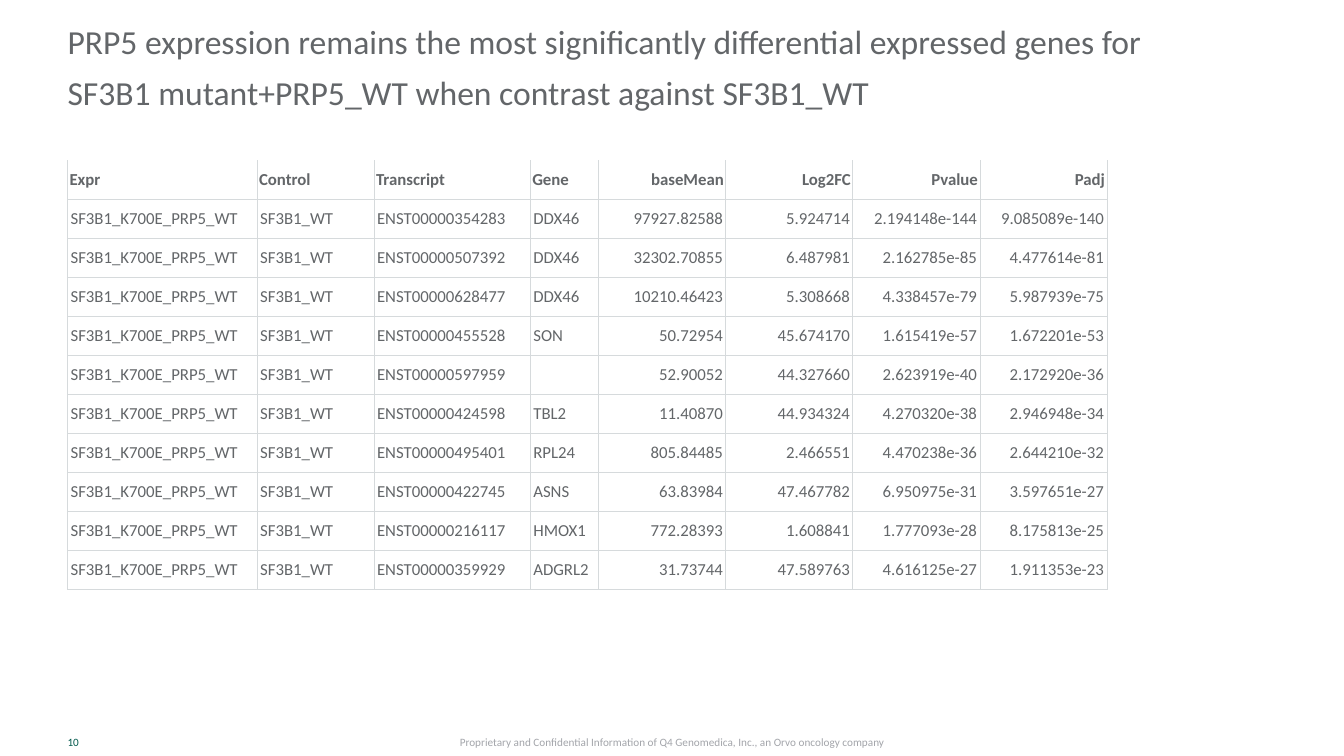
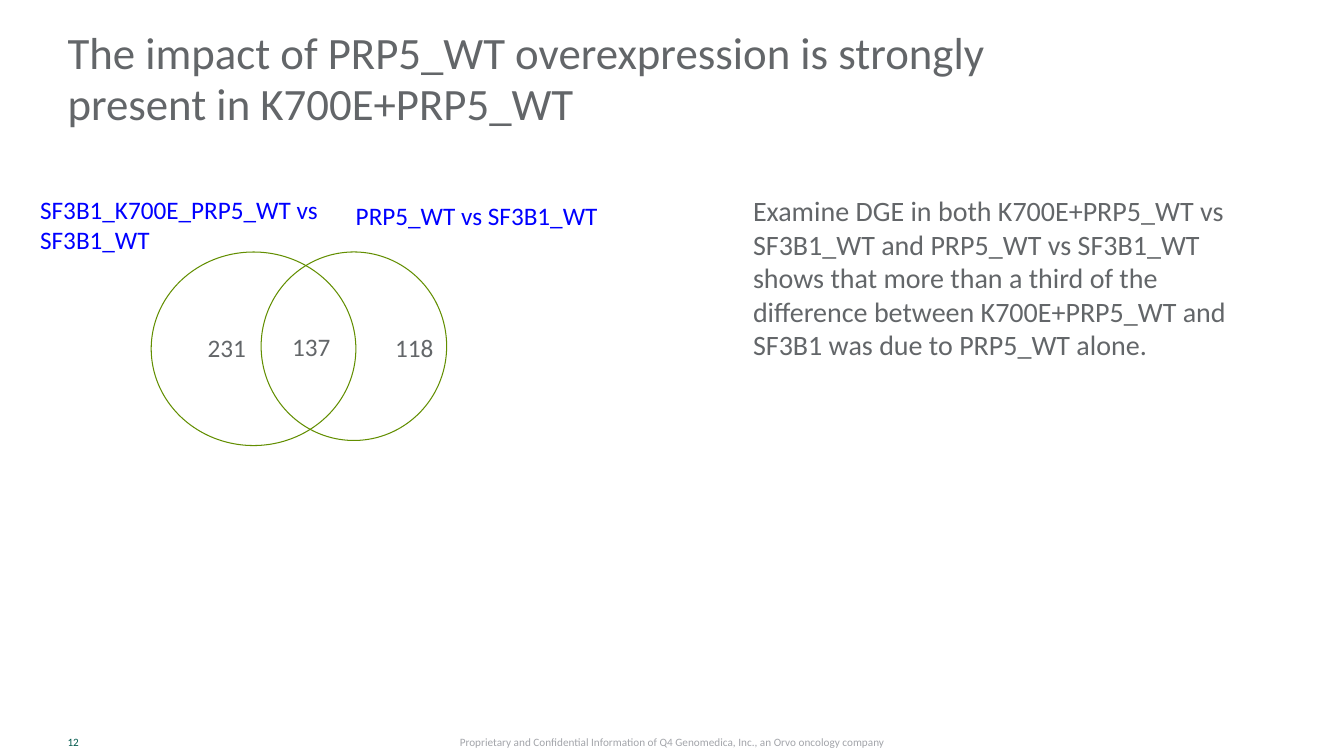
from dataclasses import dataclass

from lxml import etree
from pptx import Presentation
from pptx.dml.color import RGBColor
from pptx.enum import shapes, text
from pptx.oxml import ns
from pptx.util import Inches, Pt


@dataclass(frozen=True)
class Theme:
    font: str = "Calibri"
    grey: str = "636669"
    light_grey: str = "A3A5AA"
    border: str = "D6DADC"
    white: str = "FFFFFF"
    teal: str = "00594C"
    blue: str = "0000FF"
    green: str = "628E00"
    footer_size: int = 8
    table_size: int = 12
    label_size: int = 18
    body_size: int = 20
    small_title_size: int = 24
    title_size: int = 32
    title_leading: int = 36
    line_width: float = 0.75


theme = Theme()
LEFT, MIDDLE, BOTTOM = 0.67, text.MSO_ANCHOR.MIDDLE, text.MSO_ANCHOR.BOTTOM
FOOTER = "Proprietary and Confidential Information of Q4 Genomedica, Inc., an Orvo oncology company"


def add_text(parent, lines, at, size, color, anchor=text.MSO_ANCHOR.TOP, align=None,
             wrap=True, grow=False, insets=(0.1, 0.1), leading=None):
    """Add a text box; insets are its left and right margins in inches."""
    box = parent.add_textbox(*map(Inches, at))
    frame = box.text_frame
    frame.word_wrap = wrap
    frame.auto_size = text.MSO_AUTO_SIZE.SHAPE_TO_FIT_TEXT if grow else text.MSO_AUTO_SIZE.NONE
    frame.vertical_anchor = anchor
    frame.margin_left, frame.margin_right = map(Inches, insets)
    frame.text = lines
    for para in frame.paragraphs:
        para.alignment = align
        para.line_spacing = leading
        para.font.name = theme.font
        para.font.size = Pt(size)
        para.font.color.rgb = RGBColor.from_string(color)


def set_border(cell, side, color):
    """Draw one cell edge (L, R, T or B), or hide it when color is None."""
    line = etree.SubElement(cell._tc.get_or_add_tcPr(), ns.qn(f"a:ln{side}"),
                            w=str(Pt(theme.line_width)))
    if color is None:
        etree.SubElement(line, ns.qn("a:noFill"))
    else:
        fill = etree.SubElement(line, ns.qn("a:solidFill"))
        etree.SubElement(fill, ns.qn("a:srgbClr"), val=color)


deck = Presentation()
deck.slide_width, deck.slide_height = Inches(13.33), Inches(7.5)

# Shared parts: page number, title and footer
headings = [
    ("10", "PRP5 expression remains the most significantly differential expressed genes for "
           "SF3B1 mutant+PRP5_WT when contrast against SF3B1_WT",
     0, 10.79, theme.small_title_size),
    ("12", "The impact of PRP5_WT overexpression is strongly present in K700E+PRP5_WT",
     0.17, 10.54, theme.title_size),
]
pages = []
for number, title, top, width, size in headings:
    page = deck.slides.add_slide(deck.slide_layouts[6])
    add_text(page.shapes, number, (LEFT, 7.22, 0.67, 0.28), theme.footer_size, theme.teal,
             MIDDLE, insets=(0, 0))
    add_text(page.shapes, title, (LEFT, top, width, 1.16), size, theme.grey, BOTTOM,
             insets=(0, 0.1), leading=Pt(theme.title_leading))
    add_text(page.shapes, FOOTER, (4.24, 7.22, 4.86, 0.28), theme.footer_size,
             theme.light_grey, MIDDLE, text.PP_ALIGN.CENTER)
    pages.append(page)
table_page, venn_page = pages

# Differential expression table
header = ["Expr", "Control", "Transcript", "Gene", "baseMean", "Log2FC", "Pvalue", "Padj"]
results = [
    ("ENST00000354283", "DDX46", "97927.82588", "5.924714", "2.194148e-144", "9.085089e-140"),
    ("ENST00000507392", "DDX46", "32302.70855", "6.487981", "2.162785e-85", "4.477614e-81"),
    ("ENST00000628477", "DDX46", "10210.46423", "5.308668", "4.338457e-79", "5.987939e-75"),
    ("ENST00000455528", "SON", "50.72954", "45.674170", "1.615419e-57", "1.672201e-53"),
    ("ENST00000597959", "", "52.90052", "44.327660", "2.623919e-40", "2.172920e-36"),
    ("ENST00000424598", "TBL2", "11.40870", "44.934324", "4.270320e-38", "2.946948e-34"),
    ("ENST00000495401", "RPL24", "805.84485", "2.466551", "4.470238e-36", "2.644210e-32"),
    ("ENST00000422745", "ASNS", "63.83984", "47.467782", "6.950975e-31", "3.597651e-27"),
    ("ENST00000216117", "HMOX1", "772.28393", "1.608841", "1.777093e-28", "8.175813e-25"),
    ("ENST00000359929", "ADGRL2", "31.73744", "47.589763", "4.616125e-27", "1.911353e-23"),
]
rows = [header] + [("SF3B1_K700E_PRP5_WT", "SF3B1_WT", *result) for result in results]
widths = [1.88, 1.16, 1.55, 0.68] + [1.26] * 4
first_number_column = 4

table = table_page.shapes.add_table(len(rows), len(widths), Inches(LEFT), Inches(1.59),
                                    Inches(sum(widths)), Inches(4.26)).table
table.first_row = table.horz_banding = False
for column, width in zip(table.columns, widths):
    column.width = Inches(width)
for row_index, values in enumerate(rows):
    is_header = row_index == 0
    side_inset, edge_inset = (0.02, 0.01) if is_header else (0.03, 0.02)
    for column_index, value in enumerate(values):
        cell = table.cell(row_index, column_index)
        cell.text = value
        cell.vertical_anchor = MIDDLE
        cell.margin_left = cell.margin_right = Inches(side_inset)
        cell.margin_top = cell.margin_bottom = Inches(edge_inset)
        for side in "LRTB":
            set_border(cell, side, None if is_header and side == "T" else theme.border)
        cell.fill.solid()
        cell.fill.fore_color.rgb = RGBColor.from_string(theme.white)
        para = cell.text_frame.paragraphs[0]
        if column_index >= first_number_column:
            para.alignment = text.PP_ALIGN.RIGHT
        para.font.name = theme.font
        para.font.size = Pt(theme.table_size)
        para.font.bold = is_header
        para.font.color.rgb = RGBColor.from_string(theme.grey)

# Venn diagram
for label, at in [("SF3B1_K700E_PRP5_WT vs\nSF3B1_WT", (0.3, 1.88, 3.04, 0.71)),
                  ("PRP5_WT vs SF3B1_WT", (3.43, 1.94, 2.62, 0.4))]:
    add_text(venn_page.shapes, label, at, theme.label_size, theme.blue, wrap=False, grow=True)

venn = venn_page.shapes.add_group_shape()
for at in [(1.5, 2.5, 2.03, 1.92), (2.59, 2.5, 1.84, 1.87)]:
    circle = venn.shapes.add_shape(shapes.MSO_SHAPE.OVAL, *map(Inches, at))
    circle.shadow.inherit = False
    circle.fill.background()
    circle.line.color.rgb = RGBColor.from_string(theme.green)
    circle.line.width = Pt(theme.line_width)
for count, left, top in [("137", 2.8, 3.24), ("118", 3.82, 3.25), ("231", 1.96, 3.25)]:
    add_text(venn.shapes, count, (left, top, 0.59, 0.4), theme.label_size, theme.grey,
             wrap=False, grow=True)

add_text(venn_page.shapes,
         "Examine DGE in both K700E+PRP5_WT vs SF3B1_WT and PRP5_WT vs SF3B1_WT shows that "
         "more than a third of the difference between K700E+PRP5_WT and SF3B1 was due to "
         "PRP5_WT alone.",
         (7.37, 1.87, 5.32, 1.78), theme.body_size, theme.grey, grow=True)

deck.save("out.pptx")
